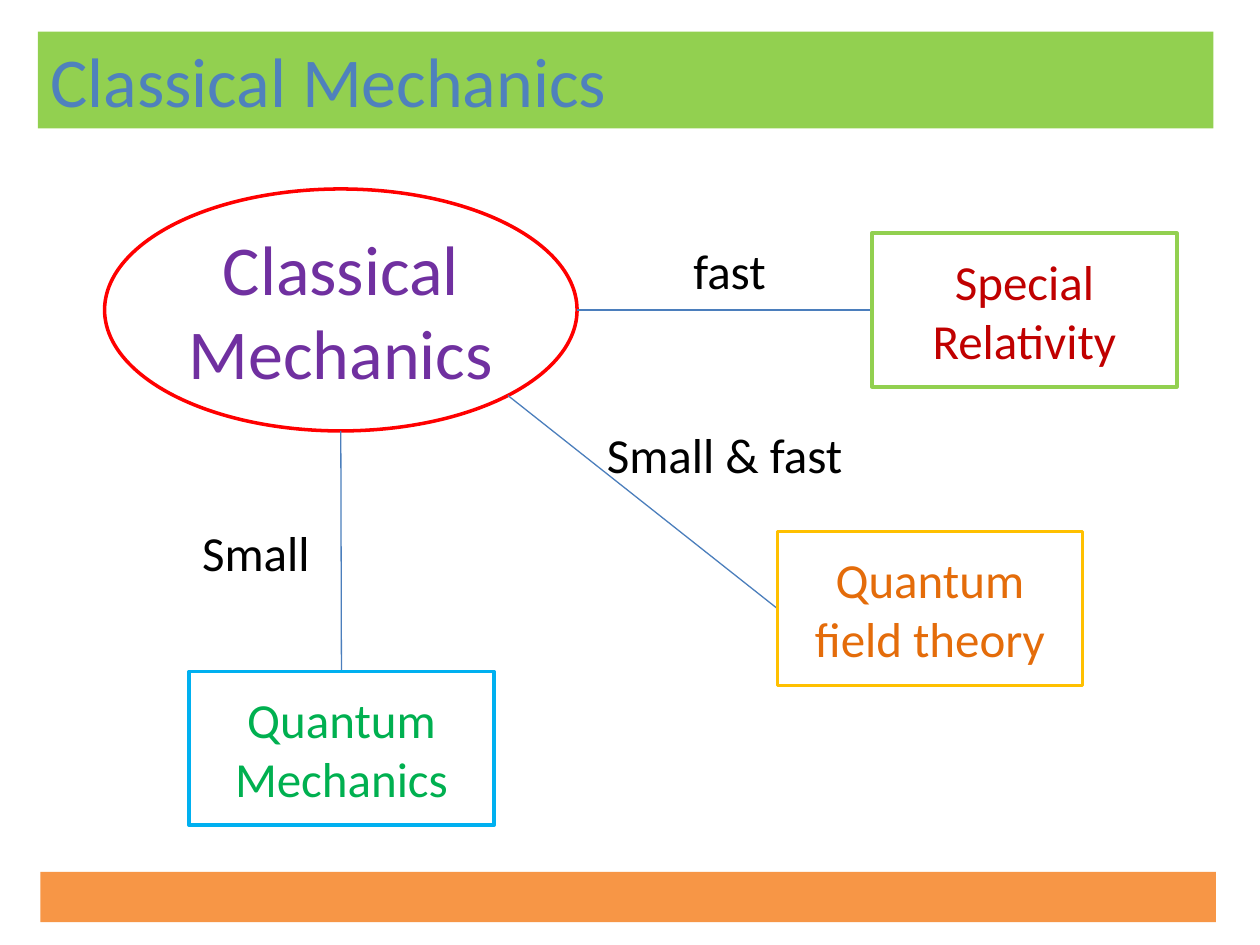
import math

from pptx import Presentation
from pptx import util as u
from pptx.dml.color import RGBColor
from pptx.enum import shapes, text
from pptx.oxml.ns import qn
from lxml import etree

GREEN_BAR = RGBColor(0x92, 0xD0, 0x50)
ORANGE_BAR = RGBColor(0xF7, 0x96, 0x46)
TITLE_BLUE = RGBColor(0x4F, 0x81, 0xBD)
LINK_BLUE = RGBColor(0x4B, 0x7E, 0xBC)
RED = RGBColor(0xFF, 0x00, 0x00)
PURPLE = RGBColor(0x70, 0x30, 0xA0)
DARK_RED = RGBColor(0xC0, 0x00, 0x00)
GOLD = RGBColor(0xFF, 0xC0, 0x00)
ORANGE = RGBColor(0xE4, 0x6C, 0x0A)
SKY = RGBColor(0x00, 0xB0, 0xF0)
GREEN = RGBColor(0x00, 0xB0, 0x50)
BLACK = RGBColor(0x00, 0x00, 0x00)

# Content: the central theory, its extensions and the regimes that lead there
TITLE = "Classical Mechanics"
CORE = "Classical Mechanics"
CORE_AT = (0.83, 1.5, 3.75, 1.92)
BOX = (2.42, 1.22)
# name, left, top, outline, text colour, angle on the ellipse, side of the box
THEORIES = [
    ("Special Relativity", 6.92, 1.85, GREEN_BAR, DARK_RED, 0, "left"),
    ("Quantum field theory", 6.17, 4.22, GOLD, ORANGE, 45, "left"),
    ("Quantum Mechanics", 1.5, 5.33, SKY, GREEN, 90, "top"),
]
REGIMES = [("Small", 0.82, 3.77), ("Small & fast", 4.54, 2.99), ("fast", 4.58, 1.53)]

prs = Presentation()
prs.slide_width, prs.slide_height = u.Inches(10), u.Inches(7.5)
TITLE_ONLY = prs.slide_layouts[5]
slide = prs.slides.add_slide(TITLE_ONLY)


def inches(*lengths):
    return [u.Inches(length) for length in lengths]


def write(shape, words, size, color, align=text.PP_ALIGN.CENTER,
          anchor=text.MSO_ANCHOR.MIDDLE):
    frame = shape.text_frame
    frame.text = words
    frame.word_wrap = True
    frame.auto_size = text.MSO_AUTO_SIZE.NONE
    frame.vertical_anchor = anchor
    paragraph = frame.paragraphs[0]
    paragraph.alignment = align
    font = paragraph.runs[0].font
    font.name, font.size, font.color.rgb = "Calibri", u.Pt(size), color


def add_node(kind, at, outline, words, size, color):
    node = slide.shapes.add_shape(kind, *inches(*at))
    node.shadow.inherit = False
    node.fill.background()
    node.line.color.rgb = outline
    node.line.width = u.Pt(2)
    write(node, words, size, color)


def add_link(start, end):
    link = slide.shapes.add_connector(shapes.MSO_CONNECTOR.STRAIGHT,
                                      *inches(*start, *end))
    link.line.color.rgb = LINK_BLUE
    link.line.width = u.Pt(0.75)
    etree.SubElement(link._element.spPr, qn("a:effectLst"))


# Title bar and footer bar
heading = slide.shapes.title
heading.left, heading.top, heading.width, heading.height = inches(0.3, 0.25, 9.33, 0.77)
heading.fill.solid()
heading.fill.fore_color.rgb = GREEN_BAR
write(heading, TITLE, 40, TITLE_BLUE, text.PP_ALIGN.LEFT, text.MSO_ANCHOR.TOP)

footer = slide.shapes.add_shape(shapes.MSO_SHAPE.RECTANGLE, *inches(0.32, 6.92, 9.33, 0.4))
footer.shadow.inherit = False
footer.fill.solid()
footer.fill.fore_color.rgb = ORANGE_BAR
footer.line.fill.background()

# Central theory
add_node(shapes.MSO_SHAPE.OVAL, CORE_AT, RED, CORE, 40, PURPLE)
core_left, core_top, core_w, core_h = CORE_AT
box_w, box_h = BOX

# Extensions, each linked from the rim of the ellipse
for name, left, top, outline, color, degrees, side in THEORIES:
    angle = math.radians(degrees)
    rim = (core_left + core_w / 2 * (1 + math.cos(angle)),
           core_top + core_h / 2 * (1 + math.sin(angle)))
    edge = (left, top + box_h / 2) if side == "left" else (left + box_w / 2, top)
    add_link(rim, edge)
    add_node(shapes.MSO_SHAPE.RECTANGLE, (left, top, *BOX), outline, name, 28, color)

# Regime labels beside the links
for regime, left, top in REGIMES:
    write(slide.shapes.add_textbox(*inches(left, top, *BOX)), regime, 28, BLACK)

prs.save("out.pptx")
